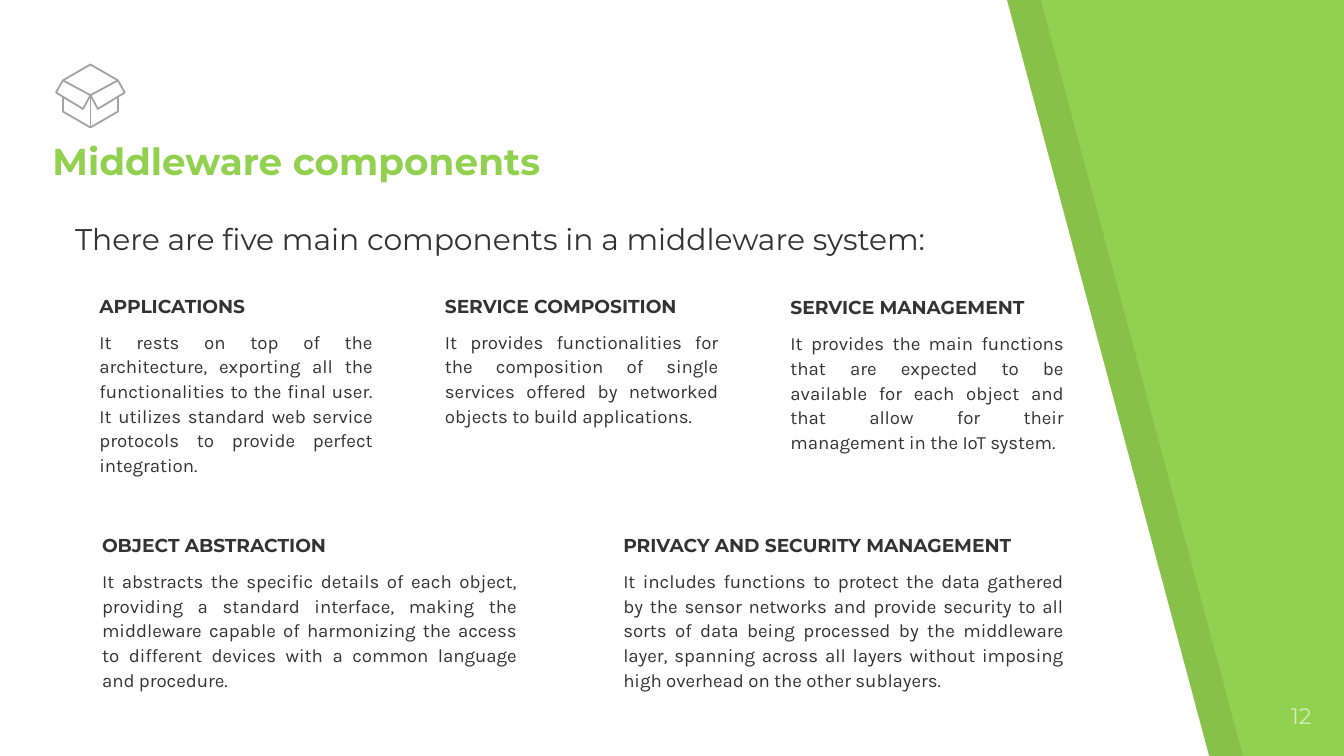
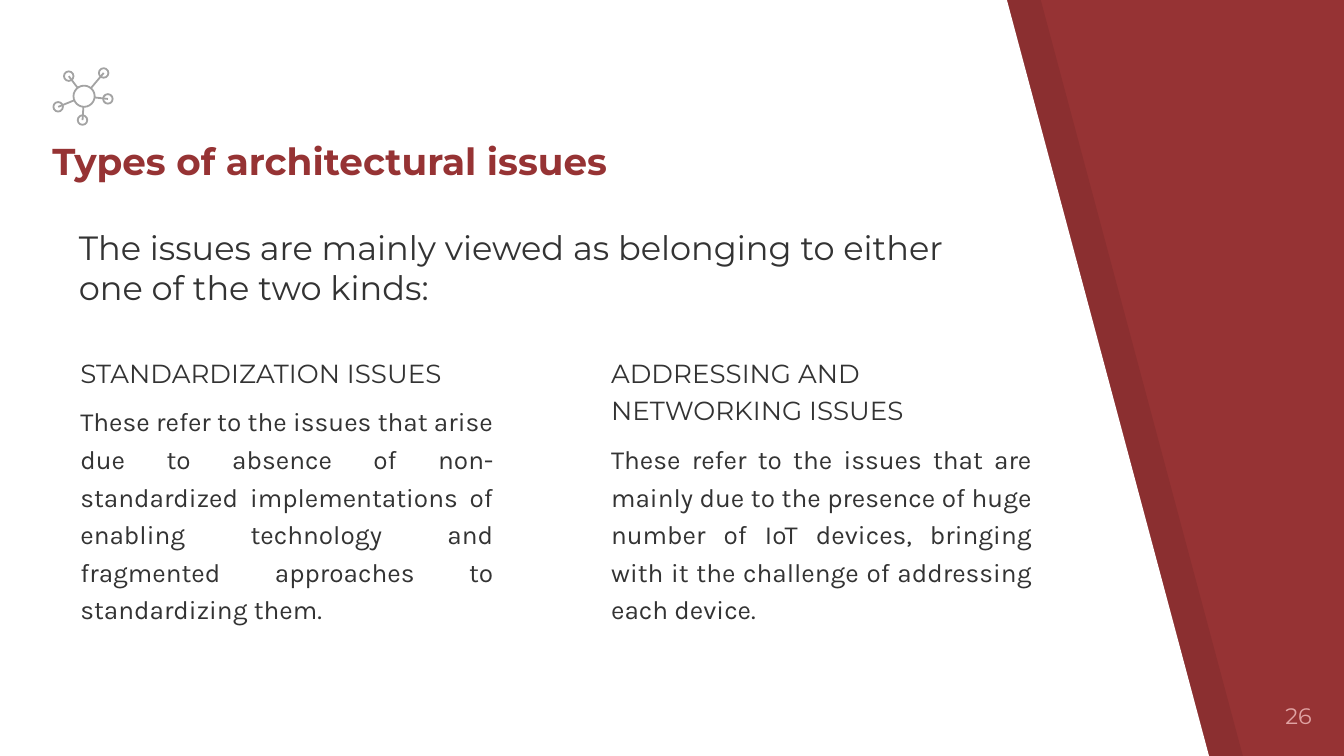
import math

from lxml import etree
from pptx import Presentation
from pptx import util as u
from pptx.dml.color import RGBColor
from pptx.enum import shapes, text
from pptx.oxml import ns

COLOURS = {
    "green": "92D050",
    "pale green": "D3ECB9",
    "red": "963334",
    "pale red": "E0A3A3",
    "white": "FFFFFF",
    "black": "000000",
    "ink": "333333",
    "icon": "A3A3A3",
}
WIDTH, HEIGHT = 25.4, 14.29
PANEL_TOP, PANEL_BOTTOM = 19.03, 22.85
BAND = 0.64
ICON_LINE = 0.96
LEFT, RIGHT, JUSTIFY = (
    text.PP_ALIGN.LEFT, text.PP_ALIGN.RIGHT, text.PP_ALIGN.JUSTIFY)
TOP, MIDDLE, BOTTOM = (
    text.MSO_ANCHOR.TOP, text.MSO_ANCHOR.MIDDLE, text.MSO_ANCHOR.BOTTOM)


def rgb(name):
    return RGBColor.from_string(COLOURS[name])


def set_all(target, values):
    for name, value in values.items():
        setattr(target, name, value)


def font(size, name="Montserrat", bold=False):
    return {"size": u.Pt(size), "name": name, "bold": bold}


def add_text(page, place, paragraphs, anchor=TOP):
    """Add a text box; each paragraph is (words, font, colour, layout)."""
    box = page.shapes.add_textbox(*map(u.Cm, place))
    frame = box.text_frame
    inset = u.Cm(0.25)
    set_all(frame, {
        "word_wrap": True, "vertical_anchor": anchor,
        "margin_left": inset, "margin_right": inset,
        "margin_top": inset, "margin_bottom": inset,
    })
    for index, (words, style, colour, layout) in enumerate(paragraphs):
        para = frame.add_paragraph() if index else frame.paragraphs[0]
        set_all(para, layout)
        span = para.add_run()
        span.text = words
        set_all(span.font, style)
        span.font.color.rgb = rgb(colour)


def add_outline(parent, points, closed=True):
    """Draw straight lines through points given in centimetres."""
    start, *rest = [(u.Cm(x), u.Cm(y)) for x, y in points]
    builder = parent.build_freeform(*start)
    builder.add_line_segments(rest, close=closed)
    shape = builder.convert_to_shape()
    shape.shadow.inherit = False
    return shape


def stroke(shape):
    shape.line.color.rgb = rgb("icon")
    shape.line.width = u.Pt(ICON_LINE)


def stroke_only(shape):
    shape.shadow.inherit = False
    shape.fill.background()
    stroke(shape)


def add_line(parent, start, end):
    line = parent.add_connector(
        shapes.MSO_CONNECTOR.STRAIGHT, *map(u.Cm, (*start, *end)))
    stroke(line)
    etree.SubElement(line._element.spPr, ns.qn("a:effectLst"))


def add_circle(parent, centre, radius):
    x, y = centre
    stroke_only(parent.add_shape(
        shapes.MSO_SHAPE.OVAL,
        *map(u.Cm, (x - radius, y - radius, 2 * radius, 2 * radius))))


def add_panel(page, shift, colour, opacity=100):
    """Cover the slide from its left edge to the slanted edge."""
    panel = add_outline(page.shapes, [
        (shift, 0), (shift, HEIGHT),
        (PANEL_BOTTOM + shift, HEIGHT), (PANEL_TOP + shift, 0)])
    panel.fill.solid()
    panel.fill.fore_color.rgb = rgb(colour)
    panel.line.fill.background()
    if opacity < 100:
        tone = panel._element.spPr.find(".//" + ns.qn("a:srgbClr"))
        etree.SubElement(tone, ns.qn("a:alpha"), val=str(opacity * 1000))


def add_page(deck, theme, title, number):
    page = deck.slides.add_slide(deck.slide_layouts[6])
    page.background.fill.solid()
    page.background.fill.fore_color.rgb = rgb(theme)
    add_panel(page, BAND, "black", opacity=7)
    add_panel(page, 0, "white")
    add_text(page, (0.74, 2.36, 18.24, 1.35),
             [(title, font(20, bold=True), theme, {})], BOTTOM)
    add_text(page, (23.52, 13.03, 1.52, 1.09),
             [(number, font(12), "pale " + theme, {"alignment": RIGHT})])
    return page


def add_lead(page, left, top, words, size):
    add_text(page, (left, top, 17.65, 1.55),
             [(words, font(size), "ink", {})], MIDDLE)


def add_topic(page, place, heading, body, size, spacing, bold=False):
    layout = {"line_spacing": spacing, "space_before": u.Pt(6)}
    add_text(page, place, [
        (heading, font(size, bold=bold), "ink", layout | {"alignment": LEFT}),
        (body, font(size, "Karla"), "ink", layout | {"alignment": JUSTIFY}),
    ])


def add_box_icon(page):
    icon = page.shapes.add_group_shape().shapes
    middle, half = 1.71, 0.52
    left, right = middle - half, middle + half
    base = [(left, 1.83), (left, 2.11), (middle, 2.41),
            (right, 2.11), (right, 1.83)]
    lid = [(right, 1.52), (middle, 1.22), (left, 1.52)]
    for points in (base, lid):
        stroke_only(add_outline(icon, points, closed=False))
    for side in (-1, 1):
        flap = [(0.14, 2.06), (0.65, 1.75), (half, 1.52), (0, 1.8)]
        stroke_only(add_outline(
            icon, [(middle + side * x, y) for x, y in flap]))
    add_line(icon, (middle, 1.8), (middle, 2.41))


def add_network_icon(page):
    icon = page.shapes.add_group_shape().shapes
    hub, hub_radius = (1.59, 1.82), 0.2
    add_circle(icon, hub, hub_radius)
    for node in ((1.96, 1.38), (1.3, 1.44), (1.1, 2.02),
                 (1.56, 2.27), (2.04, 1.87)):
        add_circle(icon, node, 0.09)
        angle = math.atan2(node[1] - hub[1], node[0] - hub[0])
        rim = (hub[0] + hub_radius * math.cos(angle),
               hub[1] + hub_radius * math.sin(angle))
        add_line(icon, node, rim)


def add_components_page(deck):
    page = add_page(deck, "green", "Middleware components", "12")
    upper = [
        ("APPLICATIONS", 5.28,
         "It rests on top of the architecture, exporting all the "
         "functionalities to the final user. It utilizes standard web "
         "service protocols to provide perfect integration."),
        ("SERVICE COMPOSITION", 5.28,
         "It provides functionalities for the composition of single "
         "services offered by networked objects to build applications."),
        ("SERVICE MANAGEMENT", 5.31,
         "It provides the main functions that are expected to be available "
         "for each object and that allow for their management in the IoT "
         "system."),
    ]
    lower = [
        ("OBJECT ABSTRACTION", (1.68, 9.8, 8.33, 3.63),
         "It abstracts the specific details of each object, providing a "
         "standard interface, making the middleware capable of harmonizing "
         "the access to different devices with a common language and "
         "procedure."),
        ("PRIVACY AND SECURITY MANAGEMENT", (11.53, 9.8, 8.81, 4.32),
         "It includes functions to protect the data gathered by the sensor "
         "networks and provide security to all sorts of data being processed "
         "by the middleware layer, spanning across all layers without "
         "imposing high overhead on the other sublayers."),
    ]
    topics = [(heading, (1.63 + 6.53 * column, top, 5.66, 3.63), body)
              for column, (heading, top, body) in enumerate(upper)] + lower
    for heading, place, body in topics:
        add_topic(page, place, heading, body, 10, 1.1, bold=True)
    add_lead(page, 1.17, 3.73,
             "There are five main components in a middleware system:", 16)
    add_box_icon(page)


def add_issues_page(deck):
    page = add_page(deck, "red", "Types of architectural issues", "26")
    topics = [
        ("STANDARDIZATION ISSUES", 1.27, 8.31,
         "These refer to the issues that arise due to absence of "
         "non-standardized implementations of enabling technology and "
         "fragmented approaches to standardizing them."),
        ("ADDRESSING AND NETWORKING ISSUES", 11.3, 8.46,
         "These refer to the issues that are mainly due to the presence of "
         "huge number of IoT devices, bringing with it the challenge of "
         "addressing each device."),
    ]
    for heading, left, width, body in topics:
        add_topic(page, (left, 6.38, width, 5.61), heading, body, 14, 1.2)
    add_lead(page, 1.24, 4.27,
             "The issues are mainly viewed as belonging to either one of the "
             "two kinds:", 18)
    add_network_icon(page)


def main():
    deck = Presentation()
    set_all(deck, {"slide_width": u.Cm(WIDTH), "slide_height": u.Cm(HEIGHT)})
    add_components_page(deck)
    add_issues_page(deck)
    deck.save("out.pptx")


if __name__ == "__main__":
    main()
